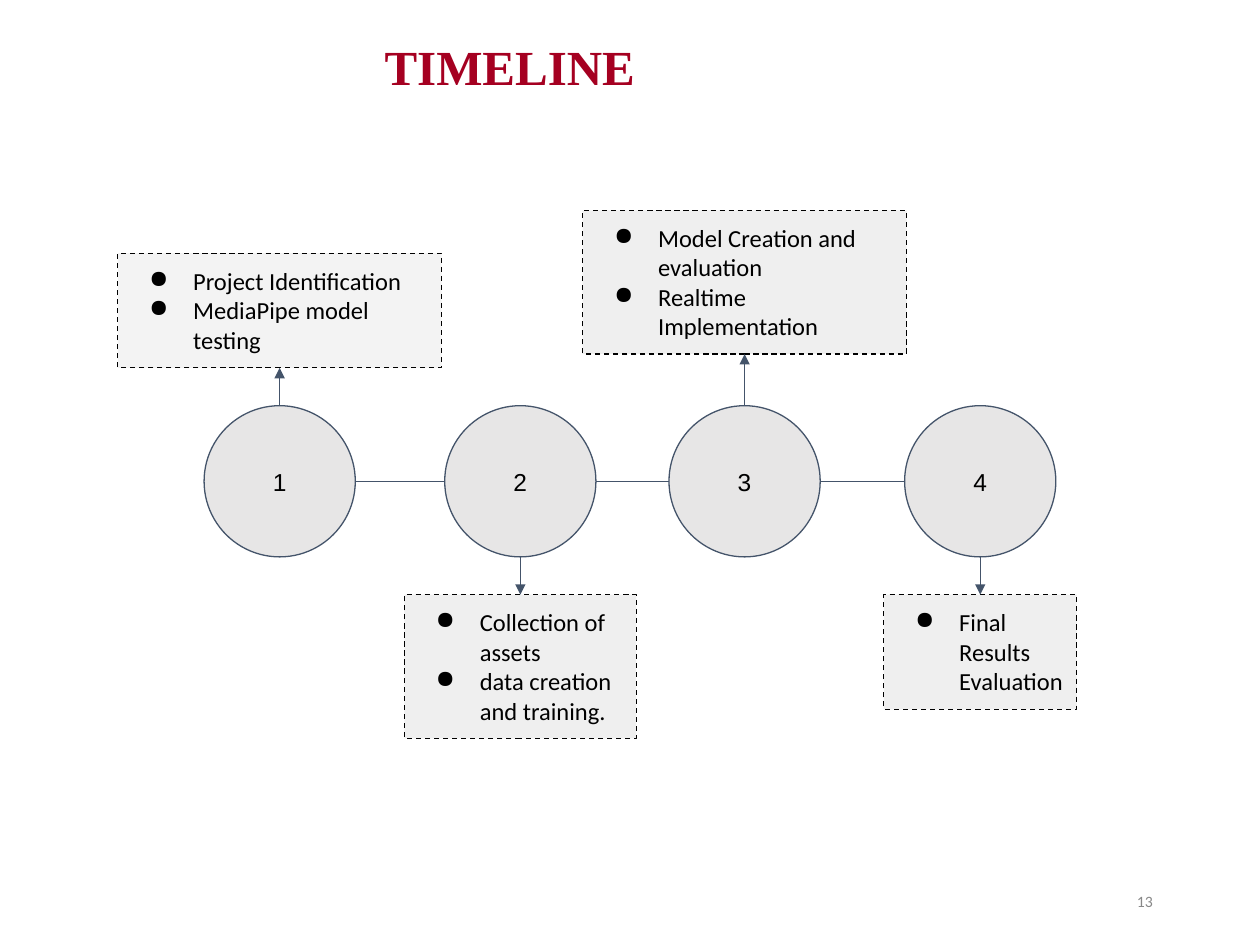
from itertools import pairwise

from lxml import etree
from pptx import Presentation
from pptx.dml.color import RGBColor
from pptx.enum.dml import MSO_LINE as Dash
from pptx.enum.shapes import MSO_CONNECTOR as Link, MSO_SHAPE as Kind
from pptx.enum.text import MSO_ANCHOR as Anchor, MSO_AUTO_SIZE as Fit, PP_ALIGN as Align
from pptx.oxml.ns import qn
from pptx.util import Inches, Pt

COLORS = {
    "title": "A50021", "ink": "000000", "slate": "44546A", "disc": "E7E6E6",
    "pale": "F3F3F3", "note": "EFEFEF", "page": "888888",
}
SIZE = 1.2   # circle diameter
AXIS = 3.82  # height of the circle centres

# circle centre, note top, note width, note height, note fill, bullets
STEPS = [
    (2.22, 2.01, 2.57, 0.91, "pale", ["Project Identification", "MediaPipe model testing"]),
    (4.13, 4.72, 1.84, 1.14, "note", ["Collection of assets", "data creation and training."]),
    (5.91, 1.67, 2.57, 1.14, "note", ["Model Creation and evaluation", "Realtime Implementation"]),
    (7.78, 4.72, 1.53, 0.91, "note", ["Final Results Evaluation"]),
]


def color(name):
    return RGBColor.from_string(COLORS[name])


def write(shape, lines, font="Calibri", size=14, ink="ink", bold=False, align=Align.LEFT,
          anchor=Anchor.MIDDLE, pad=(0.1, 0.1, 0.1, 0.1), space=None, bullet=None):
    frame = shape.text_frame
    frame.word_wrap = True
    frame.auto_size = Fit.NONE
    frame.vertical_anchor = anchor
    (frame.margin_left, frame.margin_top,
     frame.margin_right, frame.margin_bottom) = map(Inches, pad)
    frame.text = "\n".join(lines)
    for para in frame.paragraphs:
        para.alignment = align
        para.line_spacing = space
        style = para.runs[0].font
        style.name, style.size, style.bold = font, Pt(size), bold
        style.color.rgb = color(ink)
        if bullet:
            props = para._p.get_or_add_pPr()
            props.set("marL", str(Inches(0.5)))
            props.set("indent", str(Inches(-0.35)))
            tint = etree.SubElement(props, qn("a:buClr"))
            etree.SubElement(tint, qn("a:srgbClr"), val=COLORS[ink])
            etree.SubElement(props, qn("a:buChar"), char=bullet)


def block(slide, kind, box, fill, edge):
    shape = slide.shapes.add_shape(kind, *map(Inches, box))
    shape.shadow.inherit = False
    shape.fill.solid()
    shape.fill.fore_color.rgb = color(fill)
    shape.line.color.rgb = color(edge)
    shape.line.width = Pt(0.75)
    return shape


def join(slide, start, end, arrow=False):
    link = slide.shapes.add_connector(Link.STRAIGHT, *map(Inches, (*start, *end)))
    link.line.color.rgb = color("slate")
    link.line.width = Pt(0.75)
    if arrow:
        etree.SubElement(link.line._get_or_add_ln(), qn("a:tailEnd"), type="triangle")
    etree.SubElement(link._element.spPr, qn("a:effectLst"))


def add_title(slide, box, text):
    title = slide.shapes.title
    title.left, title.top, title.width, title.height = map(Inches, box)
    write(title, [text], font="Times New Roman", size=28, ink="title", bold=True,
          align=Align.CENTER, pad=(0.1, 0.05, 0.1, 0.05), space=1.07)


def add_disc(slide, box, label):
    disc = block(slide, Kind.OVAL, box, "disc", "slate")
    write(disc, [label], font="Arial", align=Align.CENTER)


def add_note(slide, box, fill, lines):
    note = block(slide, Kind.RECTANGLE, box, fill, "ink")
    note.line.dash_style = Dash.DASH
    write(note, lines, anchor=Anchor.TOP, bullet="●")


def add_steps(slide, steps):
    half = SIZE / 2
    for num, (mid, top, wide, high, fill, lines) in enumerate(steps, 1):
        add_disc(slide, (mid - half, AXIS - half, SIZE, SIZE), str(num))
        add_note(slide, (mid - wide / 2, top, wide, high), fill, lines)
        # Arrow from the circle to the near edge of its note
        if top < AXIS:
            join(slide, (mid, AXIS - half), (mid, top + high), arrow=True)
        else:
            join(slide, (mid, AXIS + half), (mid, top), arrow=True)
    # Lines between neighbouring circles
    for left, right in pairwise(step[0] for step in steps):
        join(slide, (left + half, AXIS), (right - half, AXIS))


def add_page(slide, box, text):
    page = slide.shapes.add_textbox(*map(Inches, box))
    write(page, [text], size=9, ink="page", align=Align.RIGHT, pad=(0.1, 0.05, 0.16, 0.05))


def main():
    deck = Presentation()
    deck.slide_width, deck.slide_height = Inches(10), Inches(7.5)
    slide = deck.slides.add_slide(deck.slide_layouts[5])
    add_title(slide, (0.72, 0.19, 6.65, 0.63), "TIMELINE")
    add_steps(slide, STEPS)
    add_page(slide, (7.06, 6.95, 2.25, 0.4), "13")
    deck.save("out.pptx")


if __name__ == "__main__":
    main()
